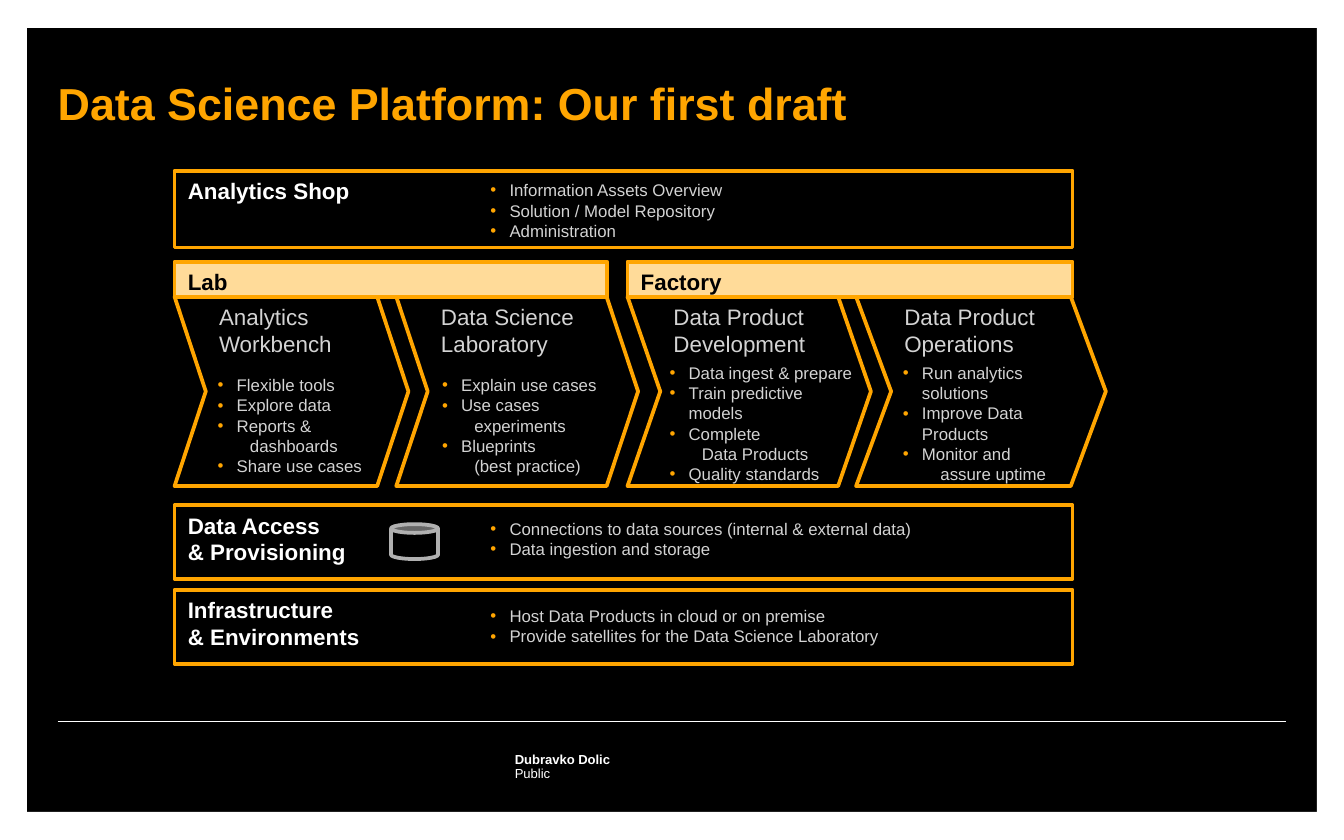
from lxml import etree
from pptx import Presentation, util as u
from pptx.dml.color import RGBColor
from pptx.enum import shapes, text
from pptx.oxml.ns import qn

C = {"black": "000000", "white": "FFFFFF", "orange": "FFA500",
     "pale": "FFDB99", "light": "D3D3D3", "grey": "B0B0B0"}
MSO = shapes.MSO_SHAPE
TOP, BOTTOM = text.MSO_ANCHOR.TOP, text.MSO_ANCHOR.BOTTOM


def write(tf, lines, size, color, bold=False, bullets=False, anchor=TOP):
    frame = {"word_wrap": True, "auto_size": text.MSO_AUTO_SIZE.NONE, "vertical_anchor": anchor}
    for k, v in frame.items():
        setattr(tf, k, v)
    for i, line in enumerate(lines):
        label, indent = line if isinstance(line, tuple) else (line, 0)
        p = tf.paragraphs[0] if i == 0 else tf.add_paragraph()
        if bullets:
            pPr = p._p.get_or_add_pPr()
            pPr.set("marL", str(u.Cm(indent or 0.36)))
            pPr.set("indent", str(0 if indent else -u.Cm(0.36)))
            if indent:
                etree.SubElement(pPr, qn("a:buNone"))
            else:
                clr = etree.SubElement(pPr, qn("a:buClr"))
                etree.SubElement(clr, qn("a:srgbClr"), val=C["orange"])
                etree.SubElement(pPr, qn("a:buFont"), typeface="Arial")
                etree.SubElement(pPr, qn("a:buChar"), char="•")
        for k, v in {"alignment": text.PP_ALIGN.LEFT, "space_before": u.Pt(0)}.items():
            setattr(p, k, v)
        r = p.add_run()
        r.text = label
        for k, v in {"size": u.Pt(size), "name": "Arial", "bold": bold}.items():
            setattr(r.font, k, v)
        r.font.color.rgb = RGBColor.from_string(C[color])


def draw(kind, at, fill, line=None):
    sp = s.shapes.add_shape(kind, *map(u.Cm, at))
    sp.shadow.inherit = False
    sp.fill.solid()
    sp.fill.fore_color.rgb = RGBColor.from_string(C[fill])
    if line:
        sp.line.color.rgb = RGBColor.from_string(C[line])
        sp.line.width = u.Pt(2)
    else:
        sp.line.fill.background()
    return sp


prs = Presentation()
prs.slide_width, prs.slide_height = u.Cm(25.4), u.Cm(15.88)
s = prs.slides.add_slide(prs.slide_layouts[4])
s.background.fill.solid()
s.background.fill.fore_color.rgb = RGBColor.from_string(C["black"])

for at in [(0, 0, 25.4, 0.53), (0, 15.35, 25.4, 0.53), (0, 0, 0.51, 15.88), (24.89, 0, 0.51, 15.88)]:
    draw(MSO.RECTANGLE, at, "white")

rule = s.shapes.add_connector(shapes.MSO_CONNECTOR.STRAIGHT, *map(u.Cm, (1.09, 13.64, 24.31, 13.64)))
rule.line.color.rgb = RGBColor.from_string(C["white"])
rule.line.width = u.Pt(0.35)
etree.SubElement(rule._element.spPr, qn("a:effectLst"))

footer = [("Dubravko Dolic", 14.17, 0.33, True, BOTTOM), ("Public", 14.48, 0.3, False, TOP)]
for label, top, height, bold, anchor in footer:
    tf = s.shapes.add_textbox(*map(u.Cm, (9.73, top, 7.57, height))).text_frame
    for side in ("left", "top", "right", "bottom"):
        setattr(tf, "margin_" + side, 0)
    write(tf, [label], 7, "white", bold, anchor=anchor)

title = s.shapes.title
for k, v in {"left": 1.09, "top": 1.42, "width": 22.81, "height": 1.5}.items():
    setattr(title, k, u.Cm(v))
tf = title.text_frame
for k, v in {"margin_left": 0, "margin_top": 0.08, "margin_bottom": 0}.items():
    setattr(tf, k, u.Cm(v))
write(tf, ["Data Science Platform: Our first draft"], 24, "orange", True)
tf.paragraphs[0].line_spacing = 0.95

layers = [
    (3.23, 1.45, ["Analytics Shop"]),
    (9.55, 1.4, ["Data Access", "& Provisioning"]),
    (11.15, 1.4, ["Infrastructure", "& Environments"]),
]
for top, height, lines in layers:
    sp = draw(MSO.RECTANGLE, (3.3, top, 16.97, height), "black", "orange")
    write(sp.text_frame, lines, 12, "white", True)

steps = [
    (3.3, 4.42, 0.165, ["Analytics", "Workbench"]),
    (7.49, 4.57, 0.166, ["Data Science Laboratory"]),
    (11.86, 4.6, 0.173, ["Data Product Development"]),
    (16.18, 4.72, 0.185, ["Data Product Operations"]),
]
for left, width, adj, lines in steps:
    sp = draw(MSO.CHEVRON, (left, 5.61, width, 3.58), "black", "orange")
    sp.adjustments[0] = adj
    write(sp.text_frame, lines, 12, "light")

for left, width, label in [(3.3, 8.18, "Lab"), (11.86, 8.41, "Factory")]:
    sp = draw(MSO.RECTANGLE, (left, 4.95, width, 0.66), "pale", "orange")
    write(sp.text_frame, [label], 12, "black", True)

draw(MSO.CAN, (7.39, 9.91, 0.89, 0.66), "black", "grey")

lists = [
    ((3.86, 6.96, 4.14, 2.18), ["Flexible tools", "Explore data", "Reports &",
                                ("dashboards", 0.61), "Share use cases"]),
    ((8.1, 6.96, 4.09, 2.18), ["Explain use cases", "Use cases", ("experiments", 0.61),
                               "Blueprints", ("(best practice)", 0.61)]),
    ((12.4, 6.73, 4.06, 2.57), ["Data ingest & prepare", "Train predictive models", "Complete",
                                ("Data Products", 0.61), "Quality standards"]),
    ((16.81, 6.73, 4.04, 2.95), ["Run analytics solutions", "Improve Data Products", "Monitor and",
                                 ("assure uptime", 0.71)]),
    ((9.02, 3.28, 4.95, 1.42), ["Information Assets Overview", "Solution / Model Repository",
                                "Administration"]),
    ((9.02, 9.68, 8.79, 1.02), ["Connections to data sources (internal & external data)",
                                "Data ingestion and storage"]),
    ((9.02, 11.33, 10.8, 1.02), ["Host Data Products in cloud or on premise",
                                 "Provide satellites for the Data Science Laboratory"]),
]
bodies = [ph for ph in s.placeholders if ph.placeholder_format.idx > 0]
for at, lines in lists:
    if bodies:
        sp = bodies.pop(0)
        s.shapes._spTree.append(sp._element)
        for k, v in zip(("left", "top", "width", "height"), at):
            setattr(sp, k, u.Cm(v))
    else:
        sp = s.shapes.add_textbox(*map(u.Cm, at))
    write(sp.text_frame, lines, 9, "light", bullets=True)

prs.save("out.pptx")
